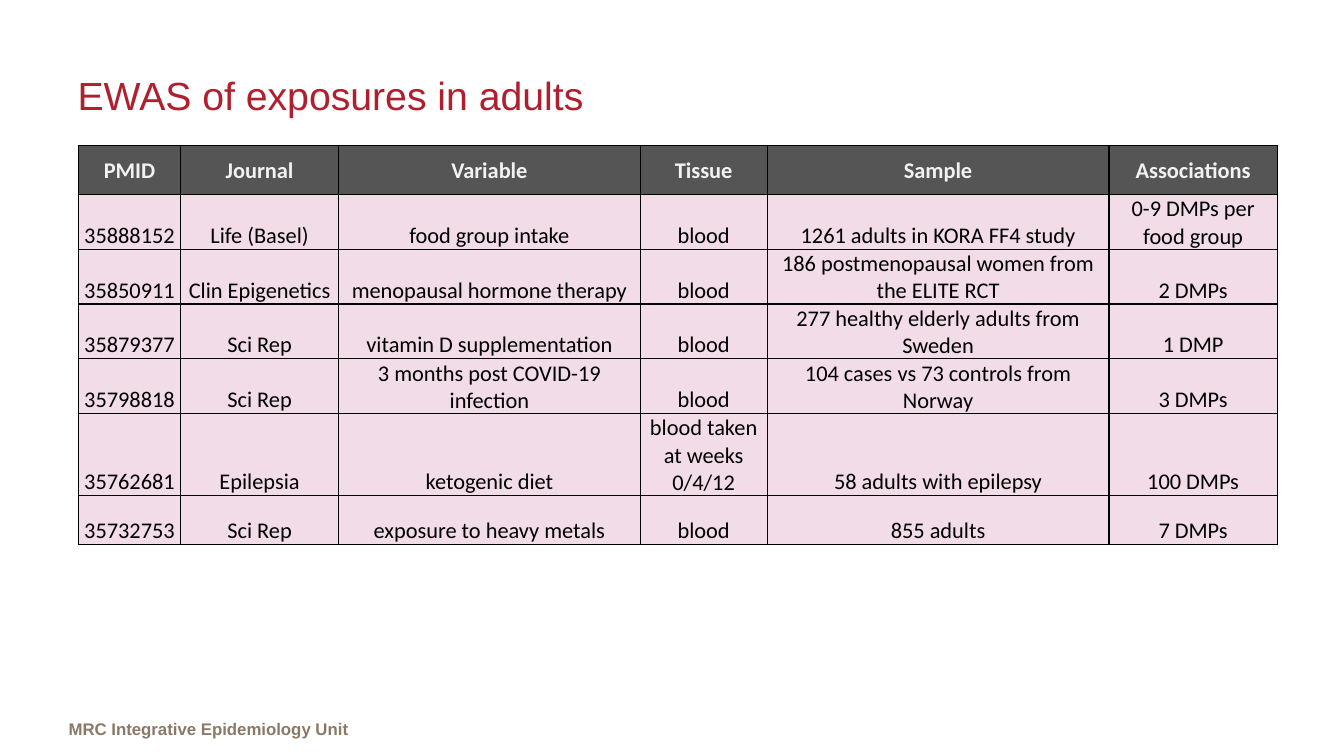
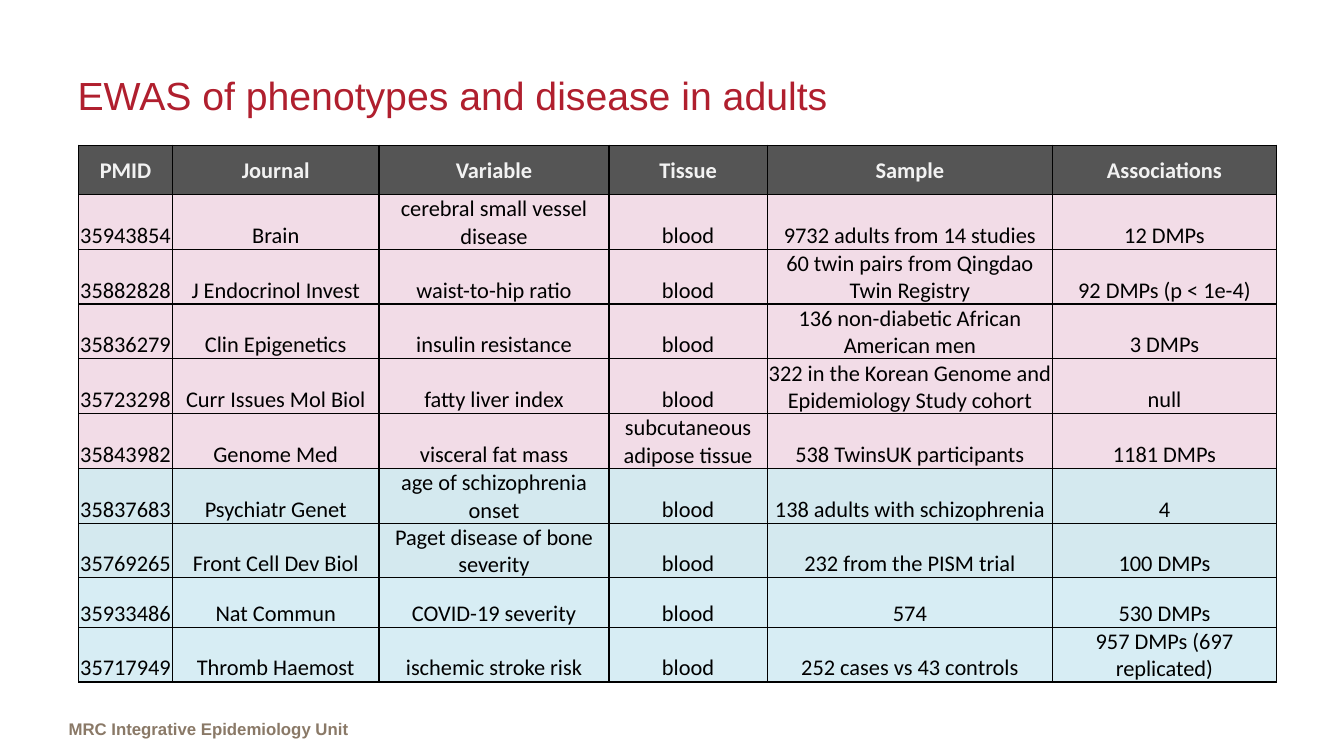
from dataclasses import dataclass

from lxml.etree import SubElement
from pptx import Presentation
from pptx.dml.color import RGBColor
from pptx.enum.text import MSO_ANCHOR as Anchor, MSO_AUTO_SIZE as AutoSize, PP_ALIGN as Align
from pptx.oxml.ns import qn
from pptx.slide import Slide
from pptx.table import _Cell as Cell
from pptx.util import Emu, Pt

EMU_PER_PX = 9144
TITLE_COLOUR = "B01F2E"
FOOTER_COLOUR = "8A7967"
HEADER_TEXT = "F2F2F2"
BLACK = "000000"
TITLE_FONT = "Arial"
TABLE_FONT = "Calibri"
TABLE_LEFT, TABLE_TOP, ROW_HEIGHT = 78, 144, 49
HEADINGS = ("PMID", "Journal", "Variable", "Tissue", "Sample", "Associations")


@dataclass(frozen=True)
class Tint:
    colour: str
    opacity: int = 100


@dataclass(frozen=True)
class Study:
    pmid: str
    journal: str
    variable: str
    tissue: str
    sample: str
    associations: str
    tint: Tint

    def texts(self) -> tuple[str, ...]:
        return (self.pmid, self.journal, self.variable,
                self.tissue, self.sample, self.associations)


@dataclass(frozen=True)
class StudyPage:
    title: str
    widths: tuple[int, ...]
    studies: tuple[Study, ...]


HEADER = Tint("0D0D0D", 70)
PINK = Tint("EDCEDE", 70)
GREY_BLUE = Tint("D4E9EF")
BLUE = Tint("C7E6F0", 70)

PAGES = (
    StudyPage("EWAS of exposures in adults", (101, 157, 299, 126, 339, 167), (
        Study("35888152", "Life (Basel)", "food group intake", "blood",
              "1261 adults in KORA FF4 study", "0-9 DMPs per food group", PINK),
        Study("35850911", "Clin Epigenetics", "menopausal hormone therapy", "blood",
              "186 postmenopausal women from the ELITE RCT", "2 DMPs", PINK),
        Study("35879377", "Sci Rep", "vitamin D supplementation", "blood",
              "277 healthy elderly adults from Sweden", "1 DMP", PINK),
        Study("35798818", "Sci Rep", "3 months post COVID-19 infection", "blood",
              "104 cases vs 73 controls from Norway", "3 DMPs", PINK),
        Study("35762681", "Epilepsia", "ketogenic diet", "blood taken at weeks 0/4/12",
              "58 adults with epilepsy", "100 DMPs", PINK),
        Study("35732753", "Sci Rep", "exposure to heavy metals", "blood",
              "855 adults", "7 DMPs", PINK),
    )),
    StudyPage("EWAS of phenotypes and disease in adults", (93, 205, 228, 157, 283, 222), (
        Study("35943854", "Brain", "cerebral small vessel disease", "blood",
              "9732 adults from 14 studies", "12 DMPs", PINK),
        Study("35882828", "J Endocrinol Invest", "waist-to-hip ratio", "blood",
              "60 twin pairs from Qingdao Twin Registry", "92 DMPs (p < 1e-4)", PINK),
        Study("35836279", "Clin Epigenetics", "insulin resistance", "blood",
              "136 non-diabetic African American men", "3 DMPs", PINK),
        Study("35723298", "Curr Issues Mol Biol", "fatty liver index", "blood",
              "322 in the Korean Genome and Epidemiology Study cohort", "null", PINK),
        Study("35843982", "Genome Med", "visceral fat mass", "subcutaneous adipose tissue",
              "538 TwinsUK participants", "1181 DMPs", PINK),
        Study("35837683", "Psychiatr Genet", "age of schizophrenia onset", "blood",
              "138 adults with schizophrenia", "4", GREY_BLUE),
        Study("35769265", "Front Cell Dev Biol", "Paget disease of bone severity", "blood",
              "232 from the PISM trial", "100 DMPs", GREY_BLUE),
        Study("35933486", "Nat Commun", "COVID-19 severity", "blood",
              "574", "530 DMPs", BLUE),
        Study("35717949", "Thromb Haemost", "ischemic stroke risk", "blood",
              "252 cases vs 43 controls", "957 DMPs (697 replicated)", BLUE),
    )),
)


def px(length: int) -> Emu:
    return Emu(length * EMU_PER_PX)


def rgb(colour: str) -> RGBColor:
    return RGBColor.from_string(colour)


def style_font(para, name: str, size: int, colour: str, bold: bool = False) -> None:
    font = para.font
    font.name, font.size, font.bold = name, Pt(size), bold
    font.color.rgb = rgb(colour)


def add_title(page: Slide, text: str) -> None:
    box = page.shapes.title
    box.left, box.top, box.width, box.height = px(67), px(50), px(1189), px(89)
    frame = box.text_frame
    frame.text = text
    frame.auto_size = AutoSize.NONE
    frame.vertical_anchor = Anchor.MIDDLE
    para = frame.paragraphs[0]
    para.alignment = Align.LEFT
    style_font(para, TITLE_FONT, 28, TITLE_COLOUR)


def add_footer(page: Slide) -> None:
    box = page.shapes.add_textbox(px(68), px(708), px(322), px(30))
    frame = box.text_frame
    frame.word_wrap = True
    frame.margin_left = frame.margin_right = 0
    frame.margin_top = frame.margin_bottom = px(5)
    frame.text = "MRC Integrative Epidemiology Unit"
    style_font(frame.paragraphs[0], TITLE_FONT, 12, FOOTER_COLOUR, bold=True)


def add_borders(cell: Cell) -> None:
    properties = cell._tc.get_or_add_tcPr()
    for index, side in enumerate(("lnL", "lnR", "lnT", "lnB")):
        line = SubElement(properties, qn(f"a:{side}"), w=str(Pt(1)))
        fill = SubElement(line, qn("a:solidFill"))
        SubElement(fill, qn("a:srgbClr"), val=BLACK)
        properties.insert(index, line)


def fill_cell(cell: Cell, tint: Tint) -> None:
    cell.fill.solid()
    cell.fill.fore_color.rgb = rgb(tint.colour)
    if tint.opacity < 100:
        colour = cell._tc.tcPr.find(f"{qn('a:solidFill')}/{qn('a:srgbClr')}")
        SubElement(colour, qn("a:alpha"), val=str(tint.opacity * 1000))


def write_cell(cell: Cell, text: str, tint: Tint, heading: bool) -> None:
    cell.text = text
    cell.margin_left = cell.margin_right = cell.margin_top = px(1)
    cell.margin_bottom = 0
    cell.vertical_anchor = Anchor.MIDDLE if heading else Anchor.BOTTOM
    para = cell.text_frame.paragraphs[0]
    para.alignment = Align.CENTER
    style_font(para, TABLE_FONT, 16, HEADER_TEXT if heading else BLACK, heading)
    fill_cell(cell, tint)
    add_borders(cell)


def add_study_table(page: Slide, content: StudyPage) -> None:
    rows = [(HEADINGS, HEADER)] + [(study.texts(), study.tint) for study in content.studies]
    table = page.shapes.add_table(
        len(rows), len(HEADINGS), px(TABLE_LEFT), px(TABLE_TOP),
        px(sum(content.widths)), px(ROW_HEIGHT * len(rows))).table
    table.first_row = table.horz_banding = False
    for column, width in zip(table.columns, content.widths):
        column.width = px(width)
    for row_index, (texts, tint) in enumerate(rows):
        for column_index, text in enumerate(texts):
            write_cell(table.cell(row_index, column_index), text, tint, row_index == 0)


def main() -> None:
    deck = Presentation()
    deck.slide_width, deck.slide_height = px(1333), px(750)
    title_only = deck.slide_layouts[5]
    for content in PAGES:
        page = deck.slides.add_slide(title_only)
        add_footer(page)
        add_title(page, content.title)
        add_study_table(page, content)
    deck.save("out.pptx")


if __name__ == "__main__":
    main()
